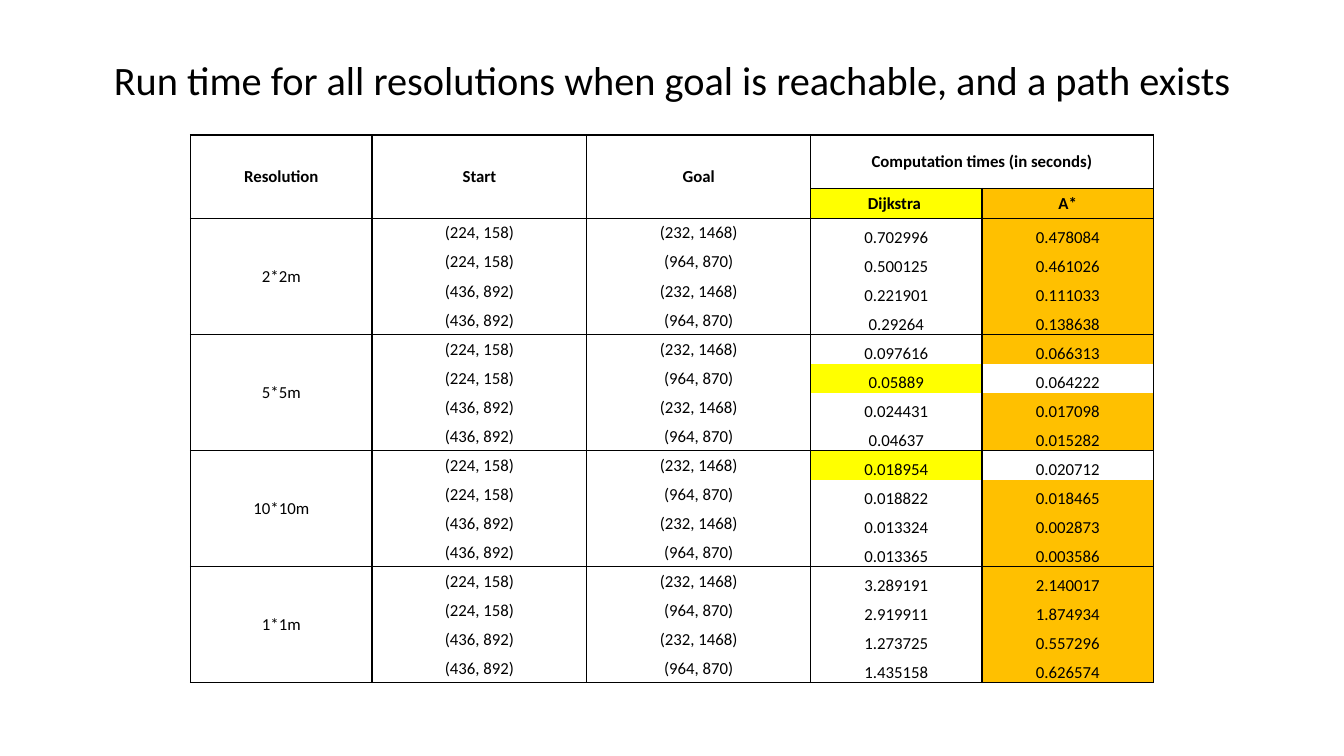
from dataclasses import dataclass

from lxml.etree import SubElement
from pptx import Presentation
from pptx.dml.color import RGBColor
from pptx.enum.text import MSO_ANCHOR, PP_ALIGN
from pptx.oxml.ns import qn
from pptx.util import Inches, Pt


@dataclass(frozen=True)
class Theme:
    """Colours, font and type sizes of the slide."""
    font: str = "Calibri"
    ink: str = "000000"
    dijkstra: str = "FFFF00"
    a_star: str = "FFC000"
    title_size: float = 28.8
    cell_size: float = 12
    border: float = 1


THEME = Theme()
TITLE = "Run time for all resolutions when goal is reachable, and a path exists"
ROUTES = [
    ("(224, 158)", "(232, 1468)"),
    ("(224, 158)", "(964, 870)"),
    ("(436, 892)", "(232, 1468)"),
    ("(436, 892)", "(964, 870)"),
]
TIMES = {
    "2*2m": [("0.702996", "0.478084"), ("0.500125", "0.461026"),
             ("0.221901", "0.111033"), ("0.29264", "0.138638")],
    "5*5m": [("0.097616", "0.066313"), ("0.05889", "0.064222"),
             ("0.024431", "0.017098"), ("0.04637", "0.015282")],
    "10*10m": [("0.018954", "0.020712"), ("0.018822", "0.018465"),
               ("0.013324", "0.002873"), ("0.013365", "0.003586")],
    "1*1m": [("3.289191", "2.140017"), ("2.919911", "1.874934"),
             ("1.273725", "0.557296"), ("1.435158", "0.626574")],
}
HEADERS = [
    ("Resolution", "Start", "Goal", "Computation times (in seconds)", ""),
    ("", "", "", "Dijkstra ", "A*"),
]
COLUMN_WIDTHS = [1.8, 2.13, 2.22, 1.7, 1.7]
HEADER_HEIGHTS = [0.53, 0.3]


def set_values(target, values):
    """Set each named attribute of the target."""
    for name, value in values.items():
        setattr(target, name, value)


def write(paragraph, text, size, bold=False):
    """Write one centred run in the theme font."""
    paragraph.alignment = PP_ALIGN.CENTER
    run = paragraph.add_run()
    run.text = text
    set_values(run.font, {"name": THEME.font, "size": Pt(size), "bold": bold})
    run.font.color.rgb = RGBColor.from_string(THEME.ink)


def add_title(slide, box):
    """Place the slide title, centred in its box."""
    frame = slide.shapes.add_textbox(*map(Inches, box)).text_frame
    set_values(frame, {"word_wrap": True, "vertical_anchor": MSO_ANCHOR.MIDDLE})
    paragraph = frame.paragraphs[0]
    paragraph.line_spacing = 0.9
    write(paragraph, TITLE, THEME.title_size)


def set_borders(cell, sides):
    """Rule the named sides of a cell and clear the others."""
    properties = cell._tc.get_or_add_tcPr()
    for side in "LRTB":
        line = SubElement(properties, qn(f"a:ln{side}"))
        if side in sides:
            line.set("w", str(Pt(THEME.border)))
            fill = SubElement(line, qn("a:solidFill"))
            SubElement(fill, qn("a:srgbClr")).set("val", THEME.ink)
        else:
            SubElement(line, qn("a:noFill"))


def fill_cell(cell, text, colour, anchor, bold):
    """Give a cell its text, fill and alignment."""
    set_values(cell, {"margin_left": 0, "margin_right": 0, "margin_top": 0,
                      "margin_bottom": 0, "vertical_anchor": anchor})
    write(cell.text_frame.paragraphs[0], text, THEME.cell_size, bold)
    if colour:
        cell.fill.solid()
        cell.fill.fore_color.rgb = RGBColor.from_string(colour)
    else:
        cell.fill.background()


def outline_region(table, top, left, bottom, right, merged):
    """Rule the outside of a block of cells, merging it on request."""
    if merged:
        table.cell(top, left).merge(table.cell(bottom, right))
    for row in range(top, bottom + 1):
        for column in range(left, right + 1):
            cell = table.cell(row, column)
            edges = {"L": column == left, "R": column == right,
                     "T": row == top, "B": row == bottom}
            set_borders(cell, [side for side, outer in edges.items()
                               if outer or cell.is_merge_origin])


def table_rows():
    """Return the text and the fill colours of every row."""
    blank = [None] * 3
    rows = [(HEADERS[0], blank + [None, None]),
            (HEADERS[1], blank + [THEME.dijkstra, THEME.a_star])]
    for resolution, times in TIMES.items():
        for index, (route, pair) in enumerate(zip(ROUTES, times)):
            faster = float(pair[0]) < float(pair[1])
            colours = [THEME.dijkstra, None] if faster else [None, THEME.a_star]
            label = resolution if index == 0 else ""
            rows.append(((label, *route, *pair), blank + colours))
    return rows


def add_run_times(slide, box):
    """Place the run time table, marking the faster algorithm in each row."""
    rows = table_rows()
    header_count, block = len(HEADERS), len(ROUTES)
    table = slide.shapes.add_table(
        len(rows), len(COLUMN_WIDTHS), *map(Inches, box)).table
    set_values(table, {"first_row": False, "horz_banding": False})
    for column, width in zip(table.columns, COLUMN_WIDTHS):
        column.width = Inches(width)
    body_height = (box[3] - sum(HEADER_HEIGHTS)) / (len(rows) - header_count)
    heights = HEADER_HEIGHTS + [body_height] * (len(rows) - header_count)
    for row, height in zip(table.rows, heights):
        row.height = Inches(height)

    regions = [(0, column, 1, column, True) for column in range(3)]
    regions += [(0, 3, 0, 4, True), (1, 3, 1, 3, False), (1, 4, 1, 4, False)]
    regions += [(top, column, top + block - 1, column, column == 0)
                for top in range(header_count, len(rows), block)
                for column in range(len(COLUMN_WIDTHS))]
    for region in regions:
        outline_region(table, *region)

    for row, (texts, colours) in enumerate(rows):
        header = row < header_count
        for column, (text, colour) in enumerate(zip(texts, colours)):
            low = not header and column >= 3
            anchor = MSO_ANCHOR.BOTTOM if low else MSO_ANCHOR.MIDDLE
            fill_cell(table.cell(row, column), text, colour, anchor, header)


def main():
    """Build and save the presentation."""
    presentation = Presentation()
    set_values(presentation, {"slide_width": Inches(13.33),
                              "slide_height": Inches(7.5)})
    slide = presentation.slides.add_slide(presentation.slide_layouts[6])
    add_title(slide, (0.92, 0.4, 11.5, 0.84))
    add_run_times(slide, (1.89, 1.34, sum(COLUMN_WIDTHS), 5.44))
    presentation.save("out.pptx")


if __name__ == "__main__":
    main()
